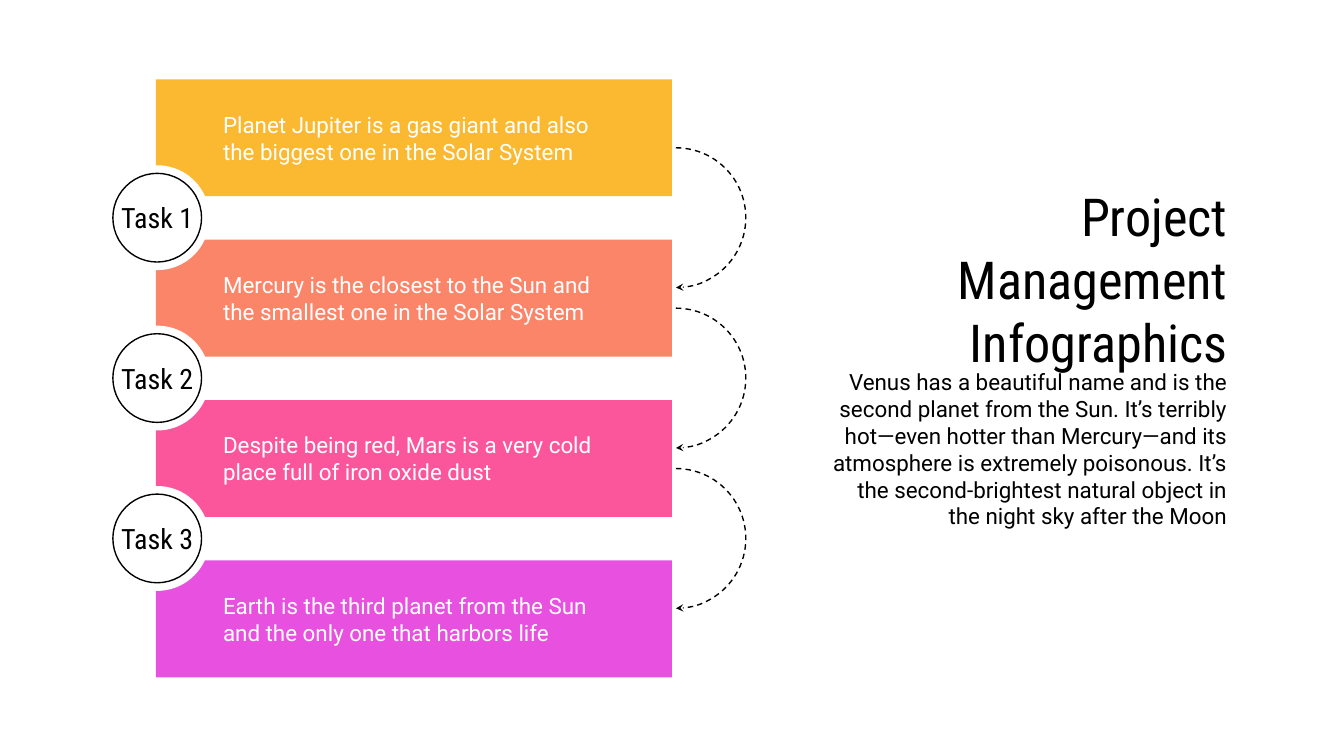
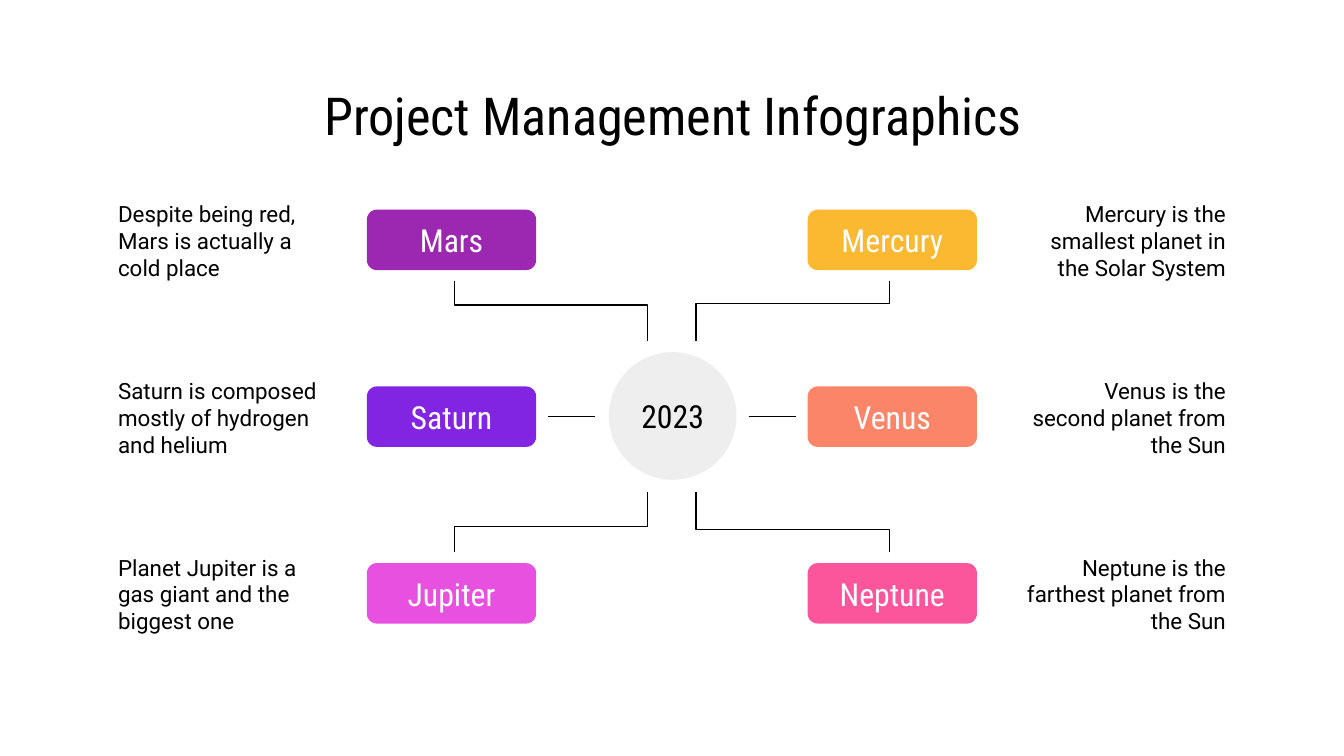
from dataclasses import dataclass
from typing import Optional, Union

from lxml.etree import SubElement as Sub
from pptx import Presentation
from pptx.dml.color import RGBColor
from pptx.dml.line import LineFormat
from pptx.enum.dml import MSO_LINE_DASH_STYLE as Dash
from pptx.enum.shapes import MSO_CONNECTOR as Link, MSO_SHAPE as Kind
from pptx.enum.text import MSO_ANCHOR as Anchor, PP_ALIGN as Align
from pptx.oxml.ns import qn
from pptx.shapes.autoshape import Shape
from pptx.shapes.shapetree import GroupShapes, SlideShapes
from pptx.util import Inches, Pt

Pen = Union[SlideShapes, GroupShapes]

BLACK = RGBColor(0x00, 0x00, 0x00)
WHITE = RGBColor(0xFF, 0xFF, 0xFF)
GREY = RGBColor(0xEE, 0xEE, 0xEE)
AMBER = RGBColor(0xFB, 0xB8, 0x31)
CORAL = RGBColor(0xFB, 0x85, 0x69)
ROSE = RGBColor(0xFB, 0x56, 0x9C)
ORCHID = RGBColor(0xE8, 0x50, 0xE0)
PLUM = RGBColor(0x9C, 0x27, 0xB0)
VIOLET = RGBColor(0x82, 0x25, 0xE2)

BODY = "Roboto"
HEAD = "Roboto Condensed"
TITLE = "Project Management Infographics"
WIDE = 10
HIGH = WIDE * 9 / 16
STEP = 3.58 / 3
PITCH = 2.63 / 2
MID = 3.1


@dataclass(frozen=True)
class Box:
    """Place of an element in inches."""

    x: float
    y: float
    w: float
    h: float

    def flip(self) -> "Box":
        """Mirror the box across the middle of the slide."""
        return Box(WIDE - self.x - self.w, self.y, self.w, self.h)

    def emu(self) -> tuple:
        """Return the four lengths for a shape call."""
        return Inches(self.x), Inches(self.y), Inches(self.w), Inches(self.h)


@dataclass(frozen=True)
class Type:
    """Look of a piece of text."""

    font: str
    size: float
    tint: RGBColor
    align: Align = Align.LEFT
    pad: float = 0.1
    wrap: bool = True


@dataclass(frozen=True)
class Band:
    """Coloured bar with its sentence."""

    tint: RGBColor
    text: str


@dataclass(frozen=True)
class Spoke:
    """Planet label, its note and its link to the hub."""

    name: str
    note: str
    tint: RGBColor
    row: int
    right: bool
    bend: Optional[float] = None


LEAD = Type(HEAD, 28, BLACK, Align.RIGHT)
TOP = Type(HEAD, 28, BLACK, Align.CENTER)
NOTE = Type(BODY, 12, BLACK)
END = Type(BODY, 12, BLACK, Align.RIGHT)
BAR = Type(BODY, 12, WHITE, pad=0.5)
TASK = Type(HEAD, 15, BLACK, Align.CENTER, 0, False)
LABEL = Type(HEAD, 17, WHITE, Align.CENTER)
HUB = Type(HEAD, 17, BLACK, Align.CENTER, wrap=False)

BANDS = [
    Band(AMBER, "Planet Jupiter is a gas giant and also the biggest one in the Solar System"),
    Band(CORAL, "Mercury is the closest to the Sun and the smallest one in the Solar System"),
    Band(ROSE, "Despite being red, Mars is a very cold place full of iron oxide dust"),
    Band(ORCHID, "Earth is the third planet from the Sun and the only one that harbors life"),
]

VENUS = (
    "Venus has a beautiful name and is the second planet from the Sun. "
    "It’s terribly hot—even hotter than Mercury—and its atmosphere is extremely "
    "poisonous. It’s the second-brightest natural object in the night sky after the Moon"
)

SPOKES = [
    Spoke("Mars", "Despite being red, Mars is actually a cold place", PLUM, 0, False, 2.27),
    Spoke("Saturn", "Saturn is composed mostly of hydrogen and helium", VIOLET, 1, False),
    Spoke("Jupiter", "Planet Jupiter is a gas giant and the biggest one", ORCHID, 2, False, 3.92),
    Spoke("Mercury", "Mercury is the smallest planet in the Solar System", AMBER, 0, True, 2.26),
    Spoke("Venus", "Venus is the second planet from the Sun", CORAL, 1, True),
    Spoke("Neptune", "Neptune is the farthest planet from the Sun", ROSE, 2, True, 3.94),
]


def write(shape: Shape, text: str, look: Type) -> None:
    """Put one styled run into a shape."""
    frame = shape.text_frame
    frame.word_wrap = look.wrap
    frame.vertical_anchor = Anchor.MIDDLE
    frame.margin_left = frame.margin_right = Inches(look.pad)
    frame.margin_top = frame.margin_bottom = Inches(0.1)
    para = frame.paragraphs[0]
    para.alignment = look.align
    run = para.add_run()
    run.text = text
    run.font.name = look.font
    run.font.size = Pt(look.size)
    run.font.color.rgb = look.tint


def ink(line: LineFormat) -> None:
    """Give a line the thin black stroke."""
    line.color.rgb = BLACK
    line.width = Pt(0.75)


def label(pen: Pen, box: Box, text: str, look: Type) -> None:
    """Add a text box."""
    write(pen.add_textbox(*box.emu()), text, look)


def block(pen: Pen, kind: Kind, box: Box, fill: Optional[RGBColor], edge: bool = False) -> Shape:
    """Add a flat preset shape."""
    shape = pen.add_shape(kind, *box.emu())
    shape.shadow.inherit = False
    if fill is None:
        shape.fill.background()
    else:
        shape.fill.solid()
        shape.fill.fore_color.rgb = fill
    if edge:
        ink(shape.line)
    else:
        shape.line.fill.background()
    return shape


def curve(pen: Pen, y: float) -> None:
    """Add a dashed half circle that ends in an arrowhead."""
    shape = block(pen, Kind.ARC, Box(4.51, y, 1.04, 1.04), None, True)
    shape.adjustments[0] = 162
    shape.adjustments[1] = 53.964
    shape.line.dash_style = Dash.DASH
    stroke = shape._element.spPr.find(qn("a:ln"))
    Sub(stroke, qn("a:tailEnd"), type="stealth", w="sm", len="sm")


def badge(pen: Pen, y: float, text: str) -> None:
    """Add a ringed task circle on a white disc."""
    group = pen.add_group_shape().shapes
    block(group, Kind.OVAL, Box(0.78, y, 0.78, 0.78), WHITE)
    ring = block(group, Kind.OVAL, Box(0.84, y + 0.06, 0.66, 0.66), WHITE, True)
    write(ring, text, TASK)


def dash(pen: Pen, box: Box) -> None:
    """Add a straight link."""
    x, y, w, h = box.emu()
    line = pen.add_connector(Link.STRAIGHT, x, y, x + w, y + h)
    ink(line.line)
    Sub(line._element.spPr, qn("a:effectLst"))


def elbow(pen: Pen, item: Spoke) -> None:
    """Add a bent link from a planet to the hub."""
    far, near = (WIDE - x if item.right else x for x in (3.38, 4.82))
    side = item.row - 1
    start, stop = MID + 1.01 * side, MID + 0.56 * side
    spots = [(far, start), (far, item.bend), (near, item.bend), (near, stop)]
    first, *rest = [(Inches(x), Inches(y)) for x, y in spots]
    form = pen.build_freeform(*first)
    form.add_line_segments(rest, close=False)
    shape = form.convert_to_shape()
    shape.shadow.inherit = False
    shape.fill.background()
    ink(shape.line)


def spoke(pen: Pen, item: Spoke) -> None:
    """Add one planet with its note and link."""
    group = pen.add_group_shape().shapes
    y = 1.56 + item.row * PITCH
    spots = [Box(2.73, y, 1.26, 0.45), Box(0.78, y - 0.18, 1.68, 0.82), Box(4.08, MID, 0.35, 0)]
    tag, note, link = [box.flip() if item.right else box for box in spots]
    write(block(group, Kind.ROUNDED_RECTANGLE, tag, item.tint), item.name, LABEL)
    label(group, note, item.note, END if item.right else NOTE)
    if item.bend is None:
        dash(group, link)
    else:
        elbow(group, item)


def tasks(pen: Pen) -> None:
    """Draw the slide of bands and tasks."""
    for i, band in enumerate(BANDS):
        box = Box(1.16, 0.59 + i * STEP, 3.84, 0.87)
        write(block(pen, Kind.RECTANGLE, box, band.tint), band.text, BAR)
    for i in range(len(BANDS) - 1):
        curve(pen, 1.1 + i * STEP)
        badge(pen, 1.23 + i * STEP, f"Task {i + 1}")
    label(pen, Box(5.93, 1.61, 3.3, 0.93), TITLE, LEAD)
    label(pen, Box(6.06, 2.66, 3.17, 1.36), VENUS, END)


def wheel(pen: Pen) -> None:
    """Draw the slide of planets around a hub."""
    label(pen, Box(0.78, 0.59, 8.45, 0.53), TITLE, TOP)
    write(block(pen, Kind.OVAL, Box(4.53, 2.62, 0.95, 0.95), GREY), "2023", HUB)
    for item in SPOKES:
        spoke(pen, item)


def main() -> None:
    """Build and save the deck."""
    deck = Presentation()
    deck.slide_width, deck.slide_height = Inches(WIDE), Inches(HIGH)
    for draw in (tasks, wheel):
        draw(deck.slides.add_slide(deck.slide_layouts[6]).shapes)
    deck.save("out.pptx")


if __name__ == "__main__":
    main()
